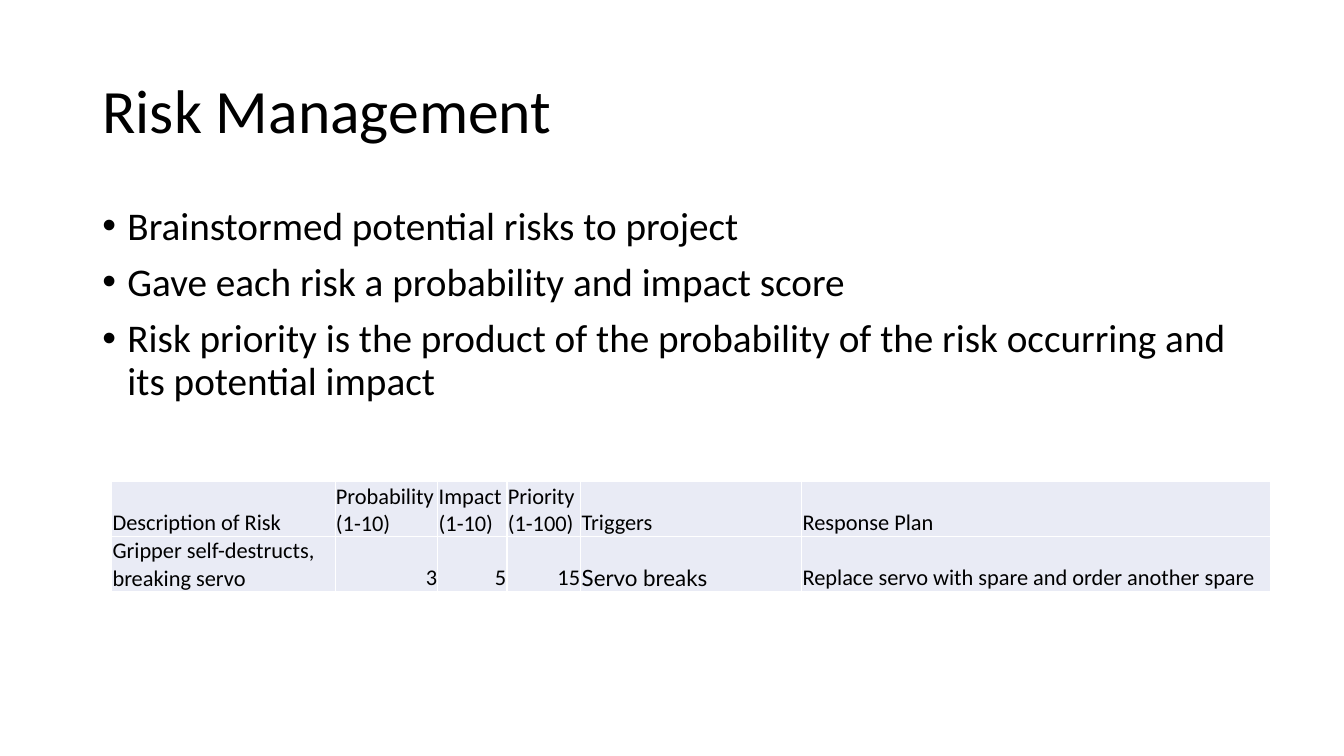
from lxml import etree
from pptx import Presentation
from pptx.dml.color import RGBColor
from pptx.enum import text
from pptx.oxml import ns
from pptx.util import Pt


def color(value):
    return RGBColor.from_string(value)


class SlideBuilder:
    font = "Calibri"
    ink = "000000"
    cell_fill = "E9EBF5"
    border = "FFFFFF"

    def __init__(self, s):
        self.s = s

    def run(self, p, words, size, font=None):
        r = p.add_run()
        r.text = words
        r.font.name = font or self.font
        r.font.size = Pt(size)
        r.font.color.rgb = color(self.ink)

    def title(self, words, box):
        sp = self.s.shapes.title
        sp.left, sp.top, sp.width, sp.height = map(Pt, box)
        tf = sp.text_frame
        tf.vertical_anchor = text.MSO_ANCHOR.MIDDLE
        p = tf.paragraphs[0]
        p.alignment = text.PP_ALIGN.LEFT
        p.line_spacing = 0.9
        self.run(p, words, 44)

    def bullets(self, items, box):
        tf = self.s.shapes.add_textbox(*map(Pt, box)).text_frame
        tf.word_wrap = True
        for i, item in enumerate(items):
            p = tf.add_paragraph() if i else tf.paragraphs[0]
            p.line_spacing = 0.9
            p.space_before = Pt(10)
            pPr = p._p.get_or_add_pPr()
            pPr.set("marL", str(Pt(18)))
            pPr.set("indent", str(-Pt(18)))
            etree.SubElement(pPr, ns.qn("a:buFont")).set("typeface", "Arial")
            etree.SubElement(pPr, ns.qn("a:buChar")).set("char", "•")
            self.run(p, item, 28)

    def cell_borders(self, cell):
        tcPr = cell._tc.get_or_add_tcPr()
        for i, side in enumerate(("lnL", "lnR", "lnT", "lnB")):
            ln = etree.Element(ns.qn("a:" + side), w=str(Pt(1)))
            fill = etree.SubElement(ln, ns.qn("a:solidFill"))
            etree.SubElement(fill, ns.qn("a:srgbClr")).set("val", self.border)
            tcPr.insert(i, ln)

    def table(self, rows, widths, left, top, row_height, fonts):
        frame = self.s.shapes.add_table(
            len(rows), len(widths), Pt(left), Pt(top),
            Pt(sum(widths)), Pt(row_height * len(rows)))
        tbl = frame.table
        for col, width in zip(tbl.columns, widths):
            col.width = Pt(width)
        for i, row in enumerate(rows):
            tbl.rows[i].height = Pt(row_height)
            for j, words in enumerate(row):
                cell = tbl.cell(i, j)
                cell.margin_left = cell.margin_right = cell.margin_top = Pt(0.6)
                cell.margin_bottom = Pt(0)
                cell.vertical_anchor = text.MSO_ANCHOR.BOTTOM
                cell.fill.solid()
                cell.fill.fore_color.rgb = color(self.cell_fill)
                self.cell_borders(cell)
                p = cell.text_frame.paragraphs[0]
                if words.isdigit():
                    p.alignment = text.PP_ALIGN.RIGHT
                self.run(p, words, 16, fonts.get(words))


prs = Presentation()
prs.slide_width, prs.slide_height = Pt(960), Pt(540)
slide = SlideBuilder(prs.slides.add_slide(prs.slide_layouts[5]))

slide.title("Risk Management", (66, 28.75, 828, 104.4))
slide.bullets([
    "Brainstormed potential risks to project",
    "Gave each risk a probability and impact score",
    "Risk priority is the product of the probability of the risk occurring "
    "and its potential impact",
], (66, 143.75, 828, 342.6))
slide.table([
    ["Description of Risk", "Probability (1-10)", "Impact (1-10)",
     "Priority (1-100)", "Triggers", "Response Plan"],
    ["Gripper self-destructs, breaking servo", "3", "5", "15",
     "Servo breaks", "Replace servo with spare and order another spare"],
], [159.6, 73.4, 49.4, 52.8, 157.8, 335], 79.8, 344.2, 39,
    {"Servo breaks": "Lato"})

prs.save("out.pptx")
